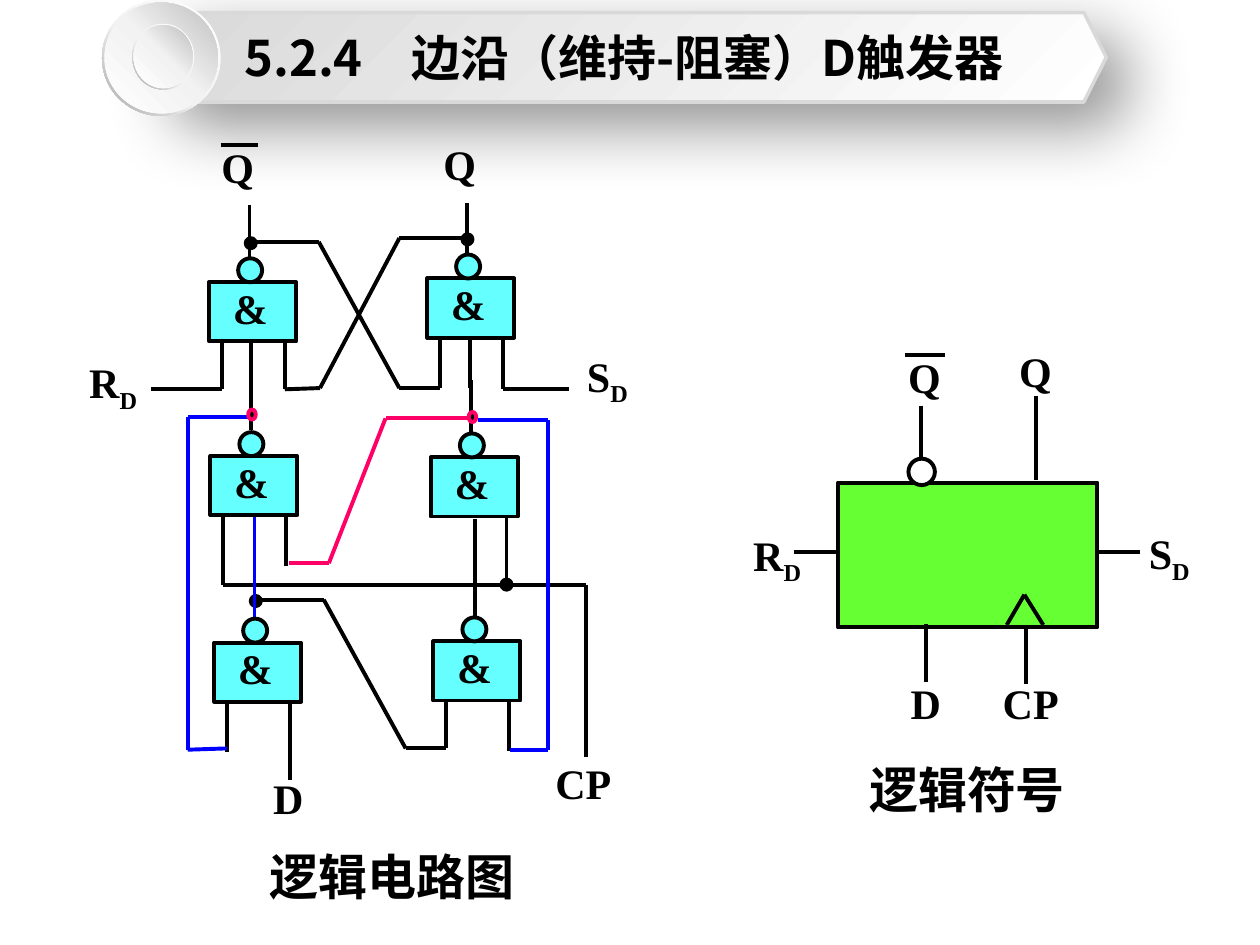
"""Build the slide on the edge-triggered D flip-flop."""
from itertools import pairwise
from lxml.etree import SubElement
from pptx import Presentation
from pptx.dml.color import RGBColor
from pptx.enum.shapes import MSO_CONNECTOR, MSO_SHAPE
from pptx.enum.text import MSO_ANCHOR, MSO_AUTO_SIZE, PP_ALIGN
from pptx.oxml.ns import qn
from pptx.util import Inches, Pt

BLACK, WHITE, BLUE, PINK = "000000", "FFFFFF", "0000FF", "FF0066"
CYAN, GREEN = "66FFFF", "66FF33"
SERIF = "Times New Roman"
rgb = RGBColor.from_string


def draw(group, kind, box, fill, line=BLACK):
    shape = group.shapes.add_shape(kind, *map(Inches, box))
    shape.shadow.inherit = False
    shape.fill.solid()
    shape.fill.fore_color.rgb = rgb(fill)
    shape.line.color.rgb = rgb(line)
    shape.line.width = Pt(2.25)


def write(frame, text, size, face, sub=""):
    para = frame.paragraphs[0]
    para.add_run().text = text
    if sub:
        run = para.add_run()
        run.text = sub
        run.font._element.set("baseline", "-25000")
    font = para.font
    font.name, font.size, font.bold = face, Pt(size), True
    font.color.rgb = rgb(BLACK)
    return para


deck = Presentation()
deck.slide_width, deck.slide_height = Inches(10), Inches(7.5)
slide = deck.slides.add_slide(deck.slide_layouts[5])

banner = slide.shapes.add_group_shape()
ring = [(0, WHITE), (55, "F2F2F2"), (100, "A6A6A6")]
disc = [(0, WHITE), (51, "F2F2F2"), (100, "BFBFBF")]
parts = [
    (MSO_SHAPE.HEXAGON, (1.13, 0.1, 7.65, 0.71), [(0, WHITE), (100, "D9D9D9")], 225),
    (MSO_SHAPE.DONUT, (0.81, 0, 0.94, 0.92), ring, 135),
    (MSO_SHAPE.OVAL, (0.83, 0.02, 0.9, 0.88), disc, 315),
    (MSO_SHAPE.DONUT, (1.05, 0.19, 0.49, 0.52), ring, 135),
    (MSO_SHAPE.OVAL, (1.06, 0.2, 0.47, 0.5), disc, 315),
]
for kind, box, stops, angle in parts:
    shape = banner.shapes.add_shape(kind, *map(Inches, box))
    shape.shadow.inherit = False
    shape.fill.gradient()
    shape.fill.gradient_angle = 360 - angle
    ramp = shape.element.spPr.find(".//" + qn("a:gsLst"))
    ramp.clear()
    for spot, color in stops:
        stop = SubElement(ramp, qn("a:gs"), pos=str(spot * 1000))
        SubElement(stop, qn("a:srgbClr"), val=color)
    if kind == MSO_SHAPE.HEXAGON:
        shape.line.color.rgb = rgb("D9D9D9")
        shape.line.width = Pt(2)
        glow = shape.element.spPr.find(qn("a:effectLst"))
        cast = SubElement(glow, qn("a:outerShdw"), blurRad=str(Pt(38)),
                          dist=str(Pt(19)), dir=str(45 * 60000), algn="tl")
        tint = SubElement(cast, qn("a:srgbClr"), val=BLACK)
        SubElement(tint, qn("a:alpha"), val="42000")
    else:
        shape.line.fill.background()
    if kind == MSO_SHAPE.DONUT:
        shape.adjustments[0] = 0.049

title = slide.shapes.title
title.left, title.top = Inches(1.8), Inches(0.1)
title.width, title.height = Inches(6.3), Inches(0.71)
frame = title.text_frame
frame.auto_size = MSO_AUTO_SIZE.NONE
frame.word_wrap = True
frame.vertical_anchor = MSO_ANCHOR.MIDDLE
para = write(frame, "5.2.4\u3000边沿（维持-阻塞）D触发器", 28, "Noto Sans CJK SC")
para.alignment = PP_ALIGN.CENTER
banner.element.addnext(title.element)

logic = slide.shapes.add_group_shape()
symbol = slide.shapes.add_group_shape()

draw(symbol, MSO_SHAPE.RECTANGLE, (6.65, 3.83, 2.06, 1.15), GREEN)

wires = [
    (logic, BLACK, [
        [(1.99, 2.68), (1.99, 3.41)],
        [(2.26, 2.7), (2.26, 3.09), (2.54, 3.08), (3.17, 1.89), (3.71, 1.89)],
        [(1.98, 1.92), (2.53, 1.92), (3.17, 3.08), (3.49, 3.08), (3.49, 2.67)],
        [(1.76, 2.69), (1.76, 3.09), (1.2, 3.09)],
        [(3.99, 2.67), (3.99, 3.09), (4.52, 3.09)],
        [(1.98, 1.63), (1.98, 2.04)],
        [(3.71, 1.61), (3.71, 2.02)],
        [(3.73, 2.67), (3.73, 3.08)],
        [(3.74, 3.02), (3.74, 3.43)],
        [(1.75, 1.15), (2.05, 1.15)],
        [(1.77, 4.06), (1.77, 4.64), (4.65, 4.64), (4.65, 6.01)],
        [(4.02, 4.09), (4.02, 4.64)],
        [(3.77, 4.12), (3.77, 4.92)],
        [(2.03, 4.76), (2.57, 4.76), (3.22, 5.94), (3.54, 5.94), (3.54, 5.55)],
        [(4.04, 5.55), (4.04, 5.96)],
        [(2.3, 5.59), (2.3, 6.19)],
        [(1.8, 5.56), (1.8, 5.97)],
        [(2.27, 4.08), (2.27, 4.49)],
    ]),
    (logic, BLUE, [
        [(2.02, 4.1), (2.02, 4.9)],
        [(2, 3.31), (1.49, 3.31), (1.49, 5.95), (1.8, 5.94)],
        [(3.79, 3.33), (4.35, 3.33), (4.35, 5.95), (4.05, 5.95)],
    ]),
    (logic, PINK, [
        [(3.76, 3.32), (3.06, 3.32), (2.61, 4.47), (2.29, 4.47)],
    ]),
    (symbol, BLACK, [
        [(8.7, 4.38), (9.05, 4.38)],
        [(6.3, 4.38), (6.65, 4.38)],
        [(7.35, 4.95), (7.35, 5.41)],
        [(8.14, 4.97), (8.14, 5.43)],
        [(7.99, 4.96), (8.13, 4.72), (8.28, 4.96)],
        [(7.18, 2.82), (7.5, 2.82)],
        [(7.31, 3.22), (7.31, 3.68)],
        [(8.22, 3.14), (8.22, 3.81)],
    ]),
]
dots = [(3.67, 1.86), (1.95, 1.89), (1.99, 4.73), (3.98, 4.6)]
for group, color, routes in wires:
    if color == BLUE:
        for x, y in dots:
            draw(logic, MSO_SHAPE.OVAL, (x, y, 0.08, 0.08), BLACK)
    for route in routes:
        for start, end in pairwise(route):
            wire = group.shapes.add_connector(
                MSO_CONNECTOR.STRAIGHT, *map(Inches, start + end))
            wire.line.color.rgb = rgb(color)
            wire.line.width = Pt(2.25)
            SubElement(wire.element.spPr, qn("a:effectLst"))

labels = [
    (logic, 0.61, 2.78, 0.77, "R", "D"),
    (logic, 4.56, 2.73, 0.65, "S", "D"),
    (logic, 3.42, 1.05, 0.6, "Q", ""),
    (logic, 1.66, 1.07, 0.6, "Q", ""),
    (logic, 2.07, 6.08, 0.54, "D", ""),
    (logic, 4.31, 5.96, 0.74, "CP", ""),
    (symbol, 5.88, 4.15, 0.83, "R", "D"),
    (symbol, 9.02, 4.14, 0.67, "S", "D"),
    (symbol, 7.13, 5.33, 0.63, "D", ""),
    (symbol, 7.86, 5.33, 0.88, "CP", ""),
    (symbol, 7.99, 2.69, 0.65, "Q", ""),
    (symbol, 7.11, 2.74, 0.54, "Q", ""),
]
gates = [(1.66, 2.24), (3.39, 2.21), (1.67, 3.62),
         (3.42, 3.63), (1.7, 5.1), (3.44, 5.09)]
for x, y in gates:
    draw(logic, MSO_SHAPE.RECTANGLE, (x, y, 0.69, 0.47), CYAN)
    draw(logic, MSO_SHAPE.OVAL, (x + 0.23, y - 0.19, 0.19, 0.19), CYAN)
    labels.append((logic, x + 0.09, y - 0.05, 0.51, "&", ""))
for x, y in [(1.97, 3.25), (3.72, 3.27)]:
    draw(logic, MSO_SHAPE.OVAL, (x, y, 0.06, 0.08), BLACK, PINK)
draw(symbol, MSO_SHAPE.OVAL, (7.21, 3.64, 0.21, 0.21), WHITE)

for group, x, y, width, text, sub in labels:
    label = group.shapes.add_textbox(*map(Inches, (x, y, width, 0.51)))
    label.text_frame.word_wrap = True
    write(label.text_frame, text, 24, SERIF, sub)

for x, y, width, text in [(2.04, 6.67, 2.17, "逻辑电路图"),
                          (6.8, 5.98, 1.78, "逻辑符号")]:
    label = slide.shapes.add_textbox(*map(Inches, (x, y, width, 0.57)))
    label.text_frame.word_wrap = False
    write(label.text_frame, text, 28, "Arial")

deck.save("out.pptx")
